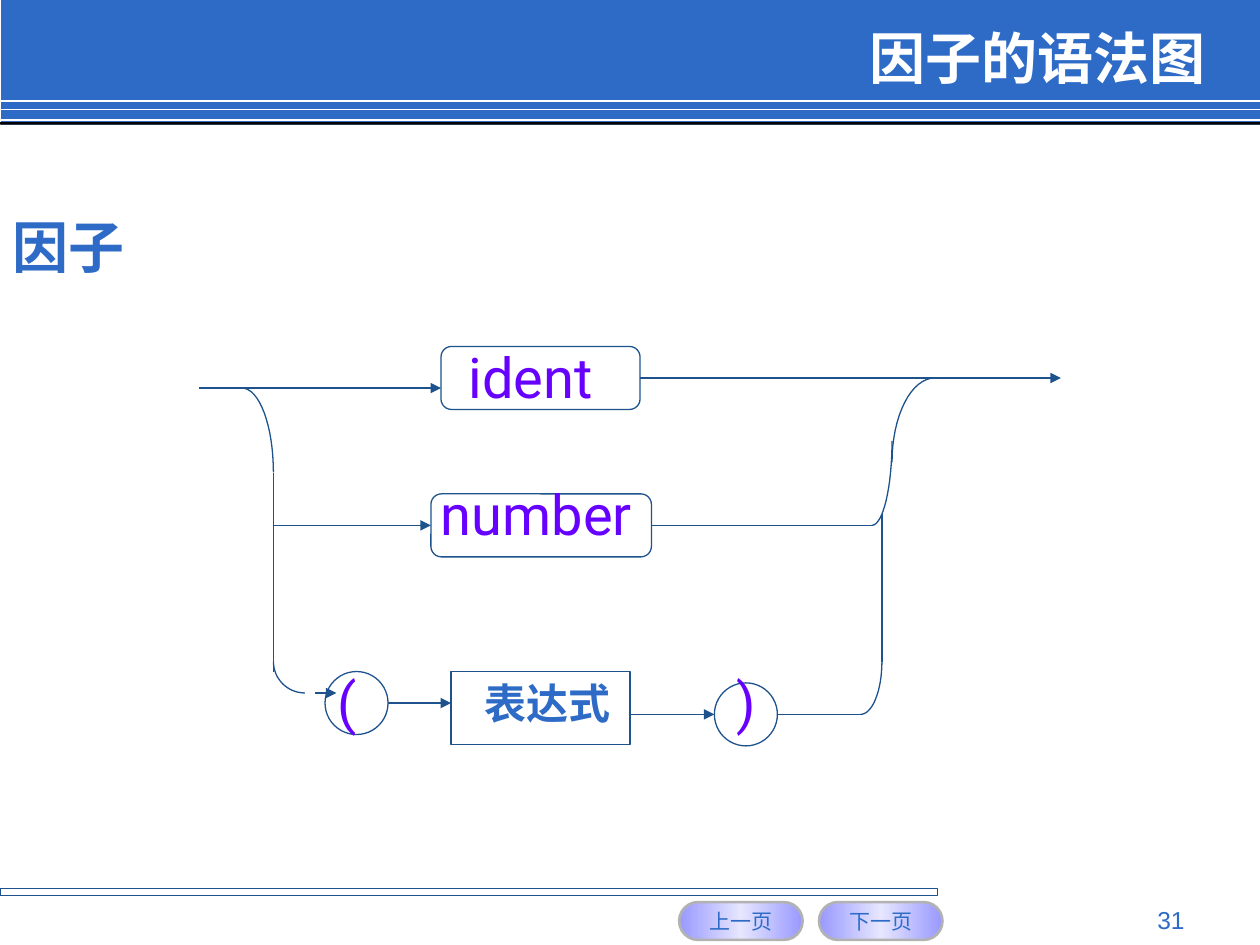
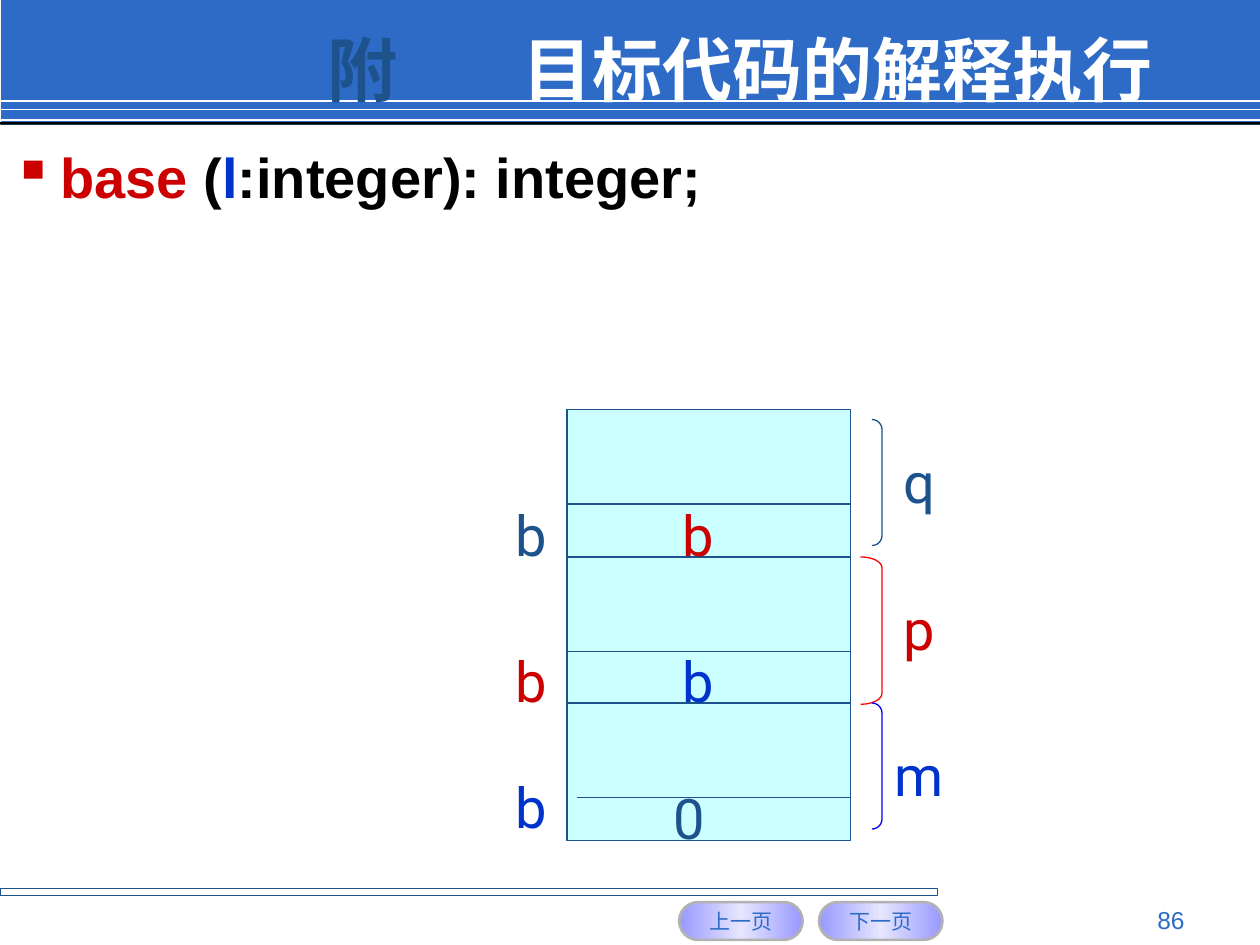
from copy import deepcopy
from math import cos, pi, sin

from lxml import etree
from pptx import Presentation
from pptx.dml.color import RGBColor
from pptx.enum.shapes import MSO_CONNECTOR, MSO_SHAPE
from pptx.enum.text import MSO_ANCHOR, MSO_AUTO_SIZE, PP_ALIGN
from pptx.oxml.ns import qn
from pptx.util import Inches, Pt

BLUE = RGBColor(0x2D, 0x6B, 0xC7)
NAVY = RGBColor(0x1D, 0x52, 0x8D)
PURPLE = RGBColor(0x66, 0x00, 0xFF)
RED = RGBColor(0xCC, 0x00, 0x00)
BRIGHT_RED = RGBColor(0xFF, 0x00, 0x00)
ROYAL = RGBColor(0x00, 0x33, 0xCC)
BRIGHT_BLUE = RGBColor(0x00, 0x00, 0xFF)
CYAN = RGBColor(0xCC, 0xFF, 0xFF)
LILAC = RGBColor(0x99, 0x99, 0xFF)
PALE_LILAC = RGBColor(0xE6, 0xE6, 0xFF)
GREY = RGBColor(0xB2, 0xB2, 0xB2)
BLACK = RGBColor(0, 0, 0)
WHITE = RGBColor(0xFF, 0xFF, 0xFF)

LATIN, CJK, CODE = "Arial", "Noto Sans CJK SC", "Roboto"
RECT, ROUND, OVAL = MSO_SHAPE.RECTANGLE, MSO_SHAPE.ROUNDED_RECTANGLE, MSO_SHAPE.OVAL
BRACKET = MSO_SHAPE.RIGHT_BRACKET
STRAIGHT = MSO_CONNECTOR.STRAIGHT
LEFT, CENTER, RIGHT = PP_ALIGN.LEFT, PP_ALIGN.CENTER, PP_ALIGN.RIGHT
MIDDLE, NO_FIT = MSO_ANCHOR.MIDDLE, MSO_AUTO_SIZE.NONE
LEFT_SIDE, RIGHT_SIDE = 1, 3


def write(paragraph, runs, size, name, bold=False, align=LEFT):
    for text, color in runs:
        run = paragraph.add_run()
        run.text = text
        if len(runs) > 1:
            run.font.color.rgb = color
    paragraph.alignment = align
    font = paragraph.font
    font.size, font.name, font.bold = Pt(size), name, bold
    font.color.rgb = runs[0][1]
    defaults = paragraph._p.pPr.find(qn("a:defRPr"))
    etree.SubElement(defaults, qn("a:ea")).set("typeface", CJK)


def add_label(slide, text, box, color, size=32, name=CODE, bold=False,
              align=LEFT, wrap=False):
    label = slide.shapes.add_textbox(*map(Inches, box))
    label.text_frame.word_wrap = wrap
    write(label.text_frame.paragraphs[0], [(text, color)], size, name, bold, align)


def add_box(slide, preset, box, fill=None, line=NAVY, width=0.75, adjust=None):
    shape = slide.shapes.add_shape(preset, *map(Inches, box))
    shape.shadow.inherit = False
    if adjust is not None:
        shape.adjustments[0] = adjust
    if fill is None:
        shape.fill.background()
    else:
        shape.fill.solid()
        shape.fill.fore_color.rgb = fill
    if line is None:
        shape.line.fill.background()
    else:
        shape.line.color.rgb = line
        shape.line.width = Pt(width)
    return shape


def add_line(slide, start, end, arrow=False, color=NAVY, width=0.75):
    line = slide.shapes.add_connector(STRAIGHT, *map(Inches, start + end))
    line.line.color.rgb = color
    line.line.width = Pt(width)
    if arrow:
        etree.SubElement(line.line._get_or_add_ln(), qn("a:tailEnd")).set("type", "triangle")
    etree.SubElement(line.element.spPr, qn("a:effectLst"))
    return line


def add_bend(slide, start, end, steps=16):
    (x0, y0), (x1, y1) = start, end
    angles = [pi / 2 * i / steps for i in range(steps + 1)]
    points = [(Inches(x0 + (x1 - x0) * sin(a)), Inches(y1 + (y0 - y1) * cos(a)))
              for a in angles]
    builder = slide.shapes.build_freeform(*points[0])
    builder.add_line_segments(points[1:], close=False)
    bend = builder.convert_to_shape()
    bend.shadow.inherit = False
    bend.fill.background()
    bend.line.color.rgb = NAVY
    bend.line.width = Pt(0.75)


def add_button(slide, left, text):
    button = add_box(slide, ROUND, (left, 7.16, 0.98, 0.3), line=GREY, width=1.5, adjust=0.5)
    button.fill.gradient()
    button.fill.gradient_angle = 0
    first = next(button.element.iter(qn("a:gs")))
    first.addnext(deepcopy(first))
    looks = [(0, LILAC), (0.5, PALE_LILAC), (1, LILAC)]
    for stop, (position, color) in zip(button.fill.gradient_stops, looks):
        stop.position = position
        stop.color.rgb = color
    frame = button.text_frame
    frame.word_wrap = False
    frame.vertical_anchor = MIDDLE
    write(frame.paragraphs[0], [(text, BLUE)], 12, LATIN, align=CENTER)


def add_page(prs, number, title_box):
    slide = prs.slides.add_slide(prs.slide_layouts[5])
    add_box(slide, RECT, (0.01, 0, 9.99, 0.99), BLUE, None)
    for y in (0.8, 0.87, 0.95):
        add_line(slide, (0, y), (10, y), color=WHITE, width=1)
    add_box(slide, RECT, (0, 0.97, 10, 0.02), BLACK, None)
    add_box(slide, RECT, (0, 7.05, 7.44, 0.06))
    add_button(slide, 5.39, "上一页")
    add_button(slide, 6.5, "下一页")
    add_label(slide, number, (7.17, 7.13, 2.33, 0.27), BLUE, 14, LATIN,
              align=RIGHT, wrap=True)
    title = slide.shapes.title
    title.left, title.top, title.width, title.height = map(Inches, title_box)
    title.element.getparent().append(title.element)
    title.text_frame.auto_size = NO_FIT
    title.text_frame.vertical_anchor = MIDDLE
    return slide, title.text_frame


def build_factor_slide(prs):
    slide, title = add_page(prs, "31", (2.75, 0.24, 6.92, 0.43))
    write(title.paragraphs[0], [("因子的语法图", WHITE)], 32, CJK, True, RIGHT)
    add_label(slide, "因子", (0, 1.64, 10, 0.74), BLUE, name=CJK, bold=True, wrap=True)

    ident = add_box(slide, ROUND, (3.5, 2.75, 1.58, 0.5))
    number = add_box(slide, ROUND, (3.42, 3.92, 1.75, 0.5))
    add_box(slide, OVAL, (2.58, 5.33, 0.5, 0.5))
    add_box(slide, RECT, (3.58, 5.33, 1.42, 0.58))
    add_box(slide, OVAL, (5.67, 5.42, 0.5, 0.5))

    add_label(slide, "ident", (3.62, 2.67, 1.27, 0.64), PURPLE)
    add_label(slide, "number", (3.4, 3.76, 1.87, 0.64), PURPLE)
    add_label(slide, "(", (2.58, 5.25, 0.42, 0.64), PURPLE, wrap=True)
    add_label(slide, ")", (5.75, 5.25, 0.5, 0.64), PURPLE, wrap=True)
    add_label(slide, "表达式", (3.75, 5.33, 1.2, 0.58), BLUE, 24, CJK, True)

    for start, end in [
        ((1.58, 3.08), (3.5, 3.08)),
        ((2.5, 5.5), (2.67, 5.5)),
        ((3.08, 5.58), (3.58, 5.58)),
        ((5, 5.67), (5.67, 5.67)),
    ]:
        add_line(slide, start, end, arrow=True)
    for start, end in [
        ((2.17, 3.75), (2.17, 5.33)),
        ((6.17, 5.67), (6.83, 5.67)),
        ((7, 4.08), (7, 5.25)),
    ]:
        add_line(slide, start, end)
    add_line(slide, (5.08, 3), (8.42, 3), arrow=True).begin_connect(ident, RIGHT_SIDE)
    add_line(slide, (2.17, 4.17), (3.42, 4.17), arrow=True).end_connect(number, LEFT_SIDE)
    add_line(slide, (5.17, 4.17), (6.92, 4.17)).begin_connect(number, RIGHT_SIDE)

    for start, end in [
        ((1.92, 3.08), (2.17, 3.75)),
        ((2.42, 5.5), (2.17, 5.25)),
        ((6.83, 5.67), (7, 5.25)),
        ((6.92, 4.17), (7.08, 3.5)),
        ((7.42, 3), (7.08, 3.67)),
    ]:
        add_bend(slide, start, end)


def add_signature(slide):
    signature = slide.shapes.add_textbox(*map(Inches, (0, 1.08, 10, 0.64)))
    signature.text_frame.word_wrap = True
    paragraph = signature.text_frame.paragraphs[0]
    props = paragraph._p.get_or_add_pPr()
    props.set("marL", str(Inches(0.38)))
    props.set("indent", str(Inches(-0.38)))
    bullet_color = etree.SubElement(props, qn("a:buClr"))
    etree.SubElement(bullet_color, qn("a:srgbClr")).set("val", str(RED))
    etree.SubElement(props, qn("a:buChar")).set("char", "▪")
    runs = [("base ", RED), ("(", BLACK), ("l", ROYAL), (":integer): integer;", BLACK)]
    write(paragraph, runs, 32, LATIN, True)


def build_stack_slide(prs):
    slide, title = add_page(prs, "86", (0.75, 0.17, 8.5, 0.75))
    title.margin_left, title.margin_right = Inches(1.85), 0
    heading = title.paragraphs[0]
    tabs = etree.SubElement(heading._p.get_or_add_pPr(), qn("a:tabLst"))
    etree.SubElement(tabs, qn("a:tab"), pos=str(Inches(1.55)), algn="l")
    write(heading, [("附\t", NAVY), ("目标代码的解释执行", WHITE)], 40, CJK, True)
    add_signature(slide)

    add_box(slide, RECT, (4.5, 3.25, 2.25, 3.42), CYAN)
    for y in (4, 4.42, 5.17, 5.58):
        add_line(slide, (4.5, y), (6.75, y))
    add_line(slide, (4.58, 6.33), (6.75, 6.33))

    for y, color in [(3.92, NAVY), (5.08, RED), (6.08, ROYAL)]:
        add_label(slide, "b", (3.99, y, 0.47, 0.64), color)
    for y, color in [(3.92, RED), (5.08, ROYAL)]:
        add_label(slide, "b", (5.32, y, 0.47, 0.64), color)
    add_label(slide, "0", (5.25, 6.17, 0.44, 0.64), NAVY, wrap=True)

    for frame, line, adjust in [
        ((6.92, 3.33, 0.08, 1), NAVY, 1),
        ((6.83, 4.42, 0.17, 1.17), BRIGHT_RED, 0.5),
        ((6.92, 5.58, 0.08, 1), BRIGHT_BLUE, 1),
    ]:
        add_box(slide, BRACKET, frame, line=line, adjust=adjust)
    add_label(slide, "q", (7.07, 3.5, 0.47, 0.64), NAVY)
    add_label(slide, "p", (7.07, 4.67, 0.47, 0.64), RED)
    add_label(slide, "m", (7, 5.83, 0.81, 0.64), ROYAL, wrap=True)


def main():
    prs = Presentation()
    prs.slide_width, prs.slide_height = Inches(10), Inches(7.5)
    build_factor_slide(prs)
    build_stack_slide(prs)
    prs.save("out.pptx")


if __name__ == "__main__":
    main()
